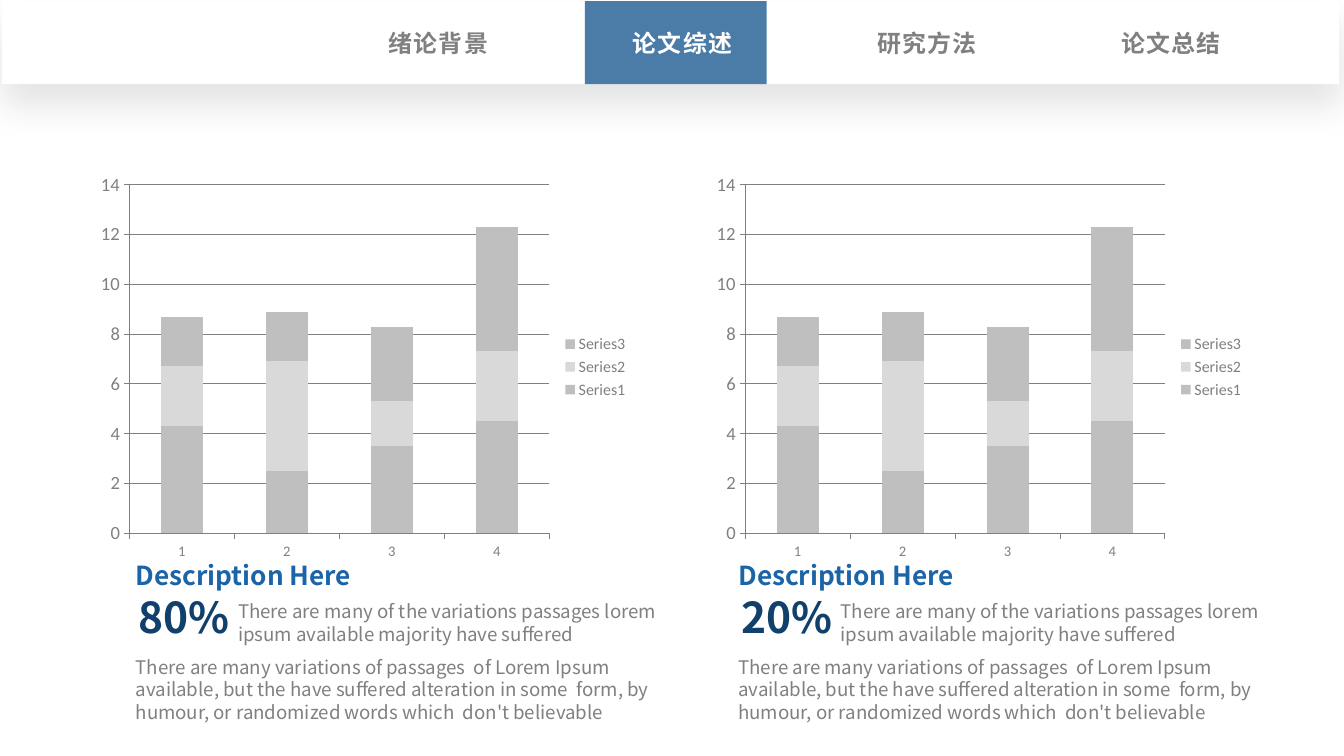
from lxml import etree
from pptx import Presentation
from pptx.chart.data import CategoryChartData
from pptx.dml.color import RGBColor
from pptx.enum.chart import XL_CHART_TYPE, XL_LEGEND_POSITION, XL_TICK_MARK
from pptx.enum.shapes import MSO_SHAPE
from pptx.enum.text import MSO_AUTO_SIZE, PP_ALIGN
from pptx.oxml.ns import qn
from pptx.util import Cm, Pt

STACKED = XL_CHART_TYPE.COLUMN_STACKED
RIGHT = XL_LEGEND_POSITION.RIGHT
OUTSIDE = XL_TICK_MARK.OUTSIDE
RECT = MSO_SHAPE.RECTANGLE
GROW = MSO_AUTO_SIZE.SHAPE_TO_FIT_TEXT
LEFT, CENTER = PP_ALIGN.LEFT, PP_ALIGN.CENTER

WHITE = RGBColor(0xFF, 0xFF, 0xFF)
GREY = RGBColor(0x80, 0x80, 0x80)
SILVER = RGBColor(0xBF, 0xBF, 0xBF)
PALE = RGBColor(0xD9, 0xD9, 0xD9)
BLUE = RGBColor(0x1A, 0x64, 0xA7)
NAVY = RGBColor(0x10, 0x40, 0x6B)
STEEL = RGBColor(0x15, 0x54, 0x8D)
CJK = "Noto Sans CJK SC"
LATIN = "Calibri"

prs = Presentation()
prs.slide_width, prs.slide_height = Cm(35.71), Cm(20.09)
slide = prs.slides.add_slide(prs.slide_layouts[6])


def add_text(text, left, top, width, height, size, color, bold=False,
             wrap=True, face=CJK, align=LEFT, pad=(0, 0)):
    box = slide.shapes.add_textbox(Cm(left), Cm(top), Cm(width), Cm(height))
    frame = box.text_frame
    frame.word_wrap = wrap
    frame.auto_size = GROW
    frame.margin_left = frame.margin_right = Cm(pad[0])
    frame.margin_top = frame.margin_bottom = Cm(pad[1])
    para = frame.paragraphs[0]
    para.alignment = align
    para.line_spacing = Pt(round(size * 1.2, 1))
    run = para.add_run()
    run.text = text
    font = run.font
    font.name, font.size, font.bold = face, Pt(size), bold
    font.color.rgb = color
    east = etree.SubElement(run._r.get_or_add_rPr(), qn("a:ea"))
    east.set("typeface", CJK)
    return run


def add_bar(left, width, color):
    bar = slide.shapes.add_shape(RECT, Cm(left), Cm(0.03), Cm(width), Cm(2.21))
    bar.shadow.inherit = False
    bar.fill.solid()
    bar.fill.fore_color.rgb = color
    bar.line.fill.background()
    return bar


# Stacked column charts
data = CategoryChartData()
data.categories = ["1", "2", "3", "4"]
data.add_series("Series1", (4.3, 2.5, 3.5, 4.5))
data.add_series("Series2", (2.4, 4.4, 1.8, 2.8))
data.add_series("Series3", (2, 2, 3, 5))

for left in (2.39, 18.75):
    chart = slide.shapes.add_chart(
        STACKED, Cm(left), Cm(4.39), Cm(14.58), Cm(10.72), data).chart
    chart.has_title = False
    chart.font.name, chart.font.size = LATIN, Pt(18)
    chart.has_legend = True
    legend = chart.legend
    legend.position = RIGHT
    legend.include_in_layout = False
    plot = chart.plots[0]
    plot.gap_width, plot.overlap = 150, 100
    plot.vary_by_categories = False
    for series, color in zip(plot.series, (SILVER, PALE, SILVER)):
        series.format.fill.solid()
        series.format.fill.fore_color.rgb = color

    value = chart.value_axis
    value.minimum_scale, value.maximum_scale, value.major_unit = 0, 14, 2
    value.has_major_gridlines = True
    grid = value.major_gridlines.format.line
    grid.color.rgb, grid.width = GREY, Pt(0.75)
    for axis in (chart.category_axis, value):
        axis.major_tick_mark = OUTSIDE
        axis.format.line.color.rgb = GREY
        axis.format.line.width = Pt(0.75)
    fonts = ((chart.category_axis.tick_labels.font, 11),
             (value.tick_labels.font, 14), (legend.font, 12))
    for font, size in fonts:
        font.name, font.size = LATIN, Pt(size)
        font.color.rgb = GREY

# Descriptions under the charts
LEAD = ("There are many of the variations passages lorem ipsum "
        "available majority have suffered")
BODY = ("There are many variations of passages  of Lorem Ipsum available, "
        "but the have suffered alteration in some  form, by humour, "
        "or randomized words which  don't believable")
for left, share in ((3.61, "80%"), (19.62, "20%")):
    add_text(LEAD, left + 2.72, 15.95, 11.76, 1.19, 14.1, GREY)
    add_text("Description Here", left, 14.86, 6.02, 0.84, 19.7, BLUE, True)
    add_text(share, left + 0.08, 15.7, 2.46, 1.37, 32, NAVY, True, False)
    add_text(BODY, left, 17.42, 13.69, 1.8, 14.1, GREY)

# Navigation bar with a soft shadow
bar = add_bar(0.05, 35.53, WHITE)
effects = bar._element.spPr.find(qn("a:effectLst"))
shadow = etree.SubElement(effects, qn("a:outerShdw"), blurRad=str(Pt(28)),
                          dist=str(Pt(15)), dir="5400000", rotWithShape="0")
black = etree.SubElement(shadow, qn("a:srgbClr"), val="000000")
etree.SubElement(black, qn("a:alpha"), val="11000")

# Active tab
tab = add_bar(15.54, 4.83, STEEL)
tint = tab._element.spPr.find(qn("a:solidFill"))[0]
etree.SubElement(tint, qn("a:alpha"), val="77000")

# Tab labels
ACTIVE = "论文综述"
for i, label in enumerate(("绪论背景", ACTIVE, "研究方法", "论文总结")):
    color = WHITE if label == ACTIVE else GREY
    run = add_text(label, 10.03 + 6.49 * i, 0.64, 3.23, 1.02, 18, color, True,
                   False, LATIN, CENTER, (0.25, 0.13))
    run._r.get_or_add_rPr().set("spc", "100")

prs.save("out.pptx")
